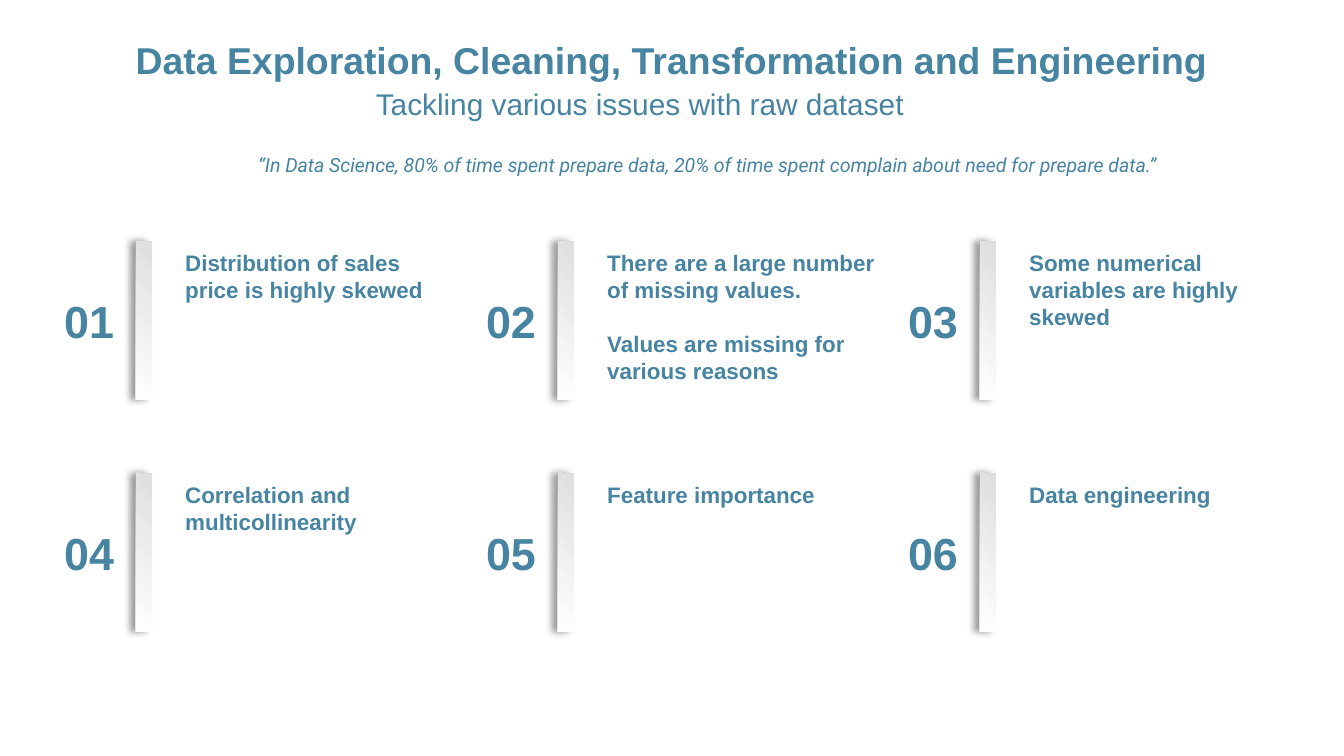
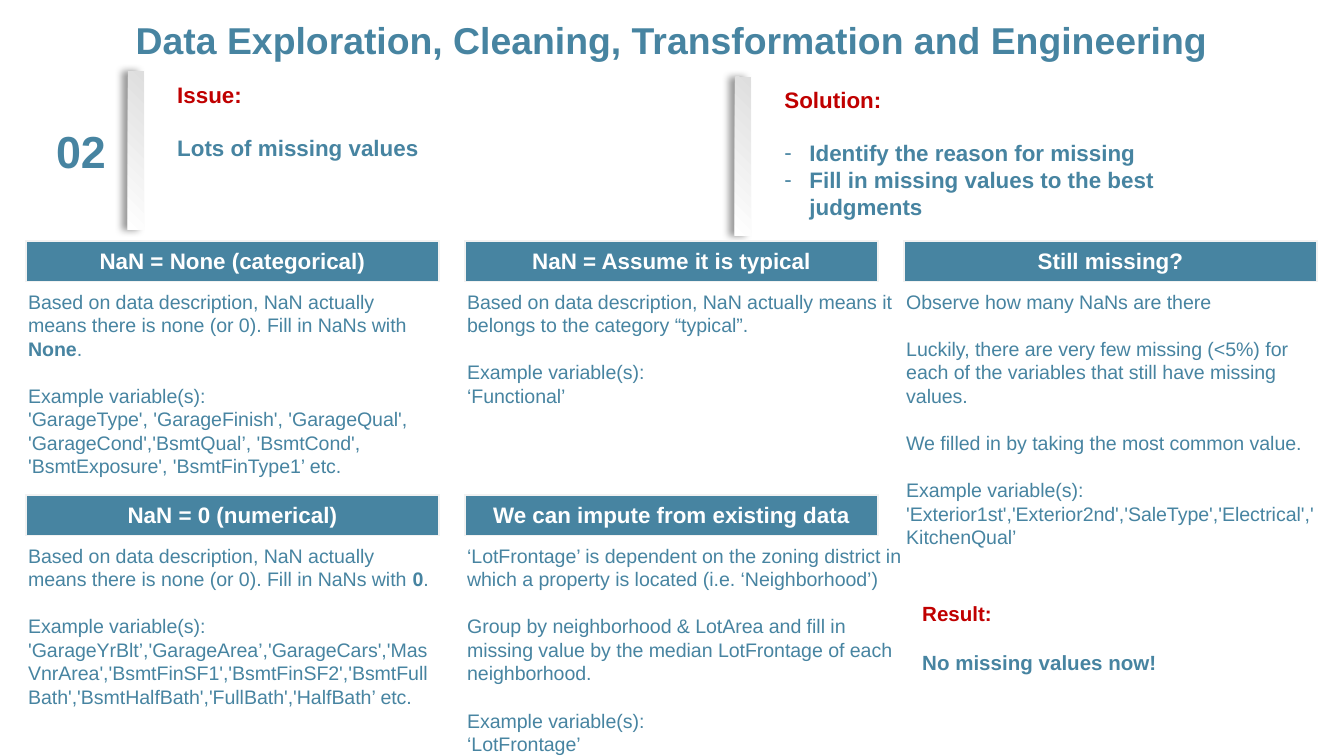
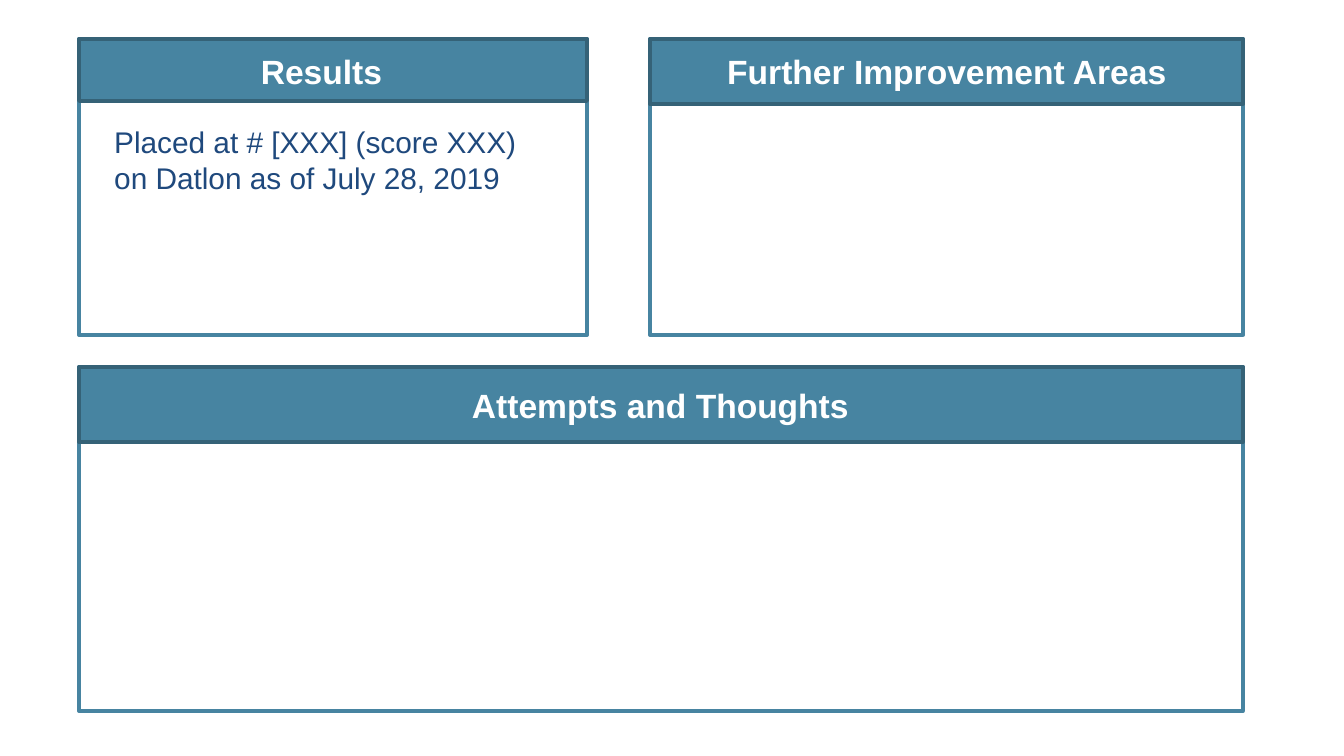
"""Build three slides on cleaning a housing data set."""
import dataclasses
import itertools

import lxml.etree
import pptx
import pptx.dml.color
import pptx.enum.shapes
import pptx.enum.text
import pptx.oxml.ns
import pptx.shapes.autoshape
import pptx.slide
import pptx.util

SCALE = 914400 / 134.4
WIDE, HIGH = 1344, 756
BLUE, DARK, RED, NAVY = "4784A1", "356277", "C00000", "1F497D"
WHITE, GREY, PALE = "FFFFFF", "DEDEDE", "F2F2F2"
HEAD = "Data Exploration, Cleaning, Transformation and Engineering"
LEAD = 1.2
LEFT, MID = pptx.enum.text.PP_ALIGN.LEFT, pptx.enum.text.PP_ALIGN.CENTER
TOP, CORE = pptx.enum.text.MSO_ANCHOR.TOP, pptx.enum.text.MSO_ANCHOR.MIDDLE


@dataclasses.dataclass(frozen=True)
class Box:
    """A place on the slide in pixels."""
    left: int
    top: int
    width: int
    height: int

    def emu(self) -> list[pptx.util.Emu]:
        """Return the four lengths in EMU."""
        return [pix(n) for n in dataclasses.astuple(self)]


@dataclasses.dataclass(frozen=True)
class Style:
    """The look of a block of text."""
    size: float
    color: str = BLUE
    bold: bool = False
    slant: bool = False
    font: str = "Arial"
    align: pptx.enum.text.PP_ALIGN = LEFT
    anchor: pptx.enum.text.MSO_ANCHOR = TOP
    wrap: bool = True


@dataclasses.dataclass(frozen=True)
class Line:
    """A paragraph; words between asterisks turn bold."""
    text: str
    gap: bool = False
    color: str = ""
    mark: str = ""


@dataclasses.dataclass(frozen=True)
class Card:
    """A headed note in the grid of slide two."""
    col: int
    row: int
    width: int
    head: str
    lines: list[Line]


@dataclasses.dataclass(frozen=True)
class Panel:
    """A framed area with a heading band."""
    box: Box
    band: int
    head: str
    label: Box


TITLE = Style(20, bold=True, align=MID, anchor=CORE)
SUB = Style(16, align=MID, anchor=CORE)
QUOTE = Style(10.5, slant=True, font="Roboto")
COUNT = Style(24, bold=True, align=MID, anchor=CORE)
POINT = Style(12, bold=True)
NOTE = Style(10.5)
CLOSE = Style(11, bold=True)
CELL = Style(12, WHITE, bold=True, align=MID, anchor=CORE)
LABEL = Style(18, WHITE, bold=True, align=MID, wrap=False)
SCORE = Style(16, NAVY)

POINTS = [
    [Line("Distribution of sales price is highly skewed")],
    [Line("There are a large number of missing values."),
     Line("Values are missing for various reasons", gap=True)],
    [Line("Some numerical variables are highly skewed")],
    [Line("Correlation and multicollinearity")],
    [Line("Feature importance")],
    [Line("Data engineering")],
]
ISSUE = [Line("Issue:", color=RED), Line("Lots of missing values", gap=True)]
CURE = [
    Line("Solution:", color=RED),
    Line("Identify the reason for missing", gap=True, mark="-"),
    Line("Fill in missing values to the best judgments", mark="-"),
]
RESULT = [Line("Result:", color=RED), Line("No missing values now!", gap=True)]
SAMPLE = Line("Example variable(s):", gap=True)
NONE = "Based on data description, NaN actually means there is none (or 0). Fill in NaNs with "
CARDS = [
    Card(0, 0, 423, "NaN = None (categorical)", [
        Line(NONE + "*None*."), SAMPLE,
        Line("'GarageType', 'GarageFinish', 'GarageQual', 'GarageCond','BsmtQual’, "
             "'BsmtCond', 'BsmtExposure', 'BsmtFinType1’ etc.")]),
    Card(1, 0, 456, "NaN = Assume it is typical", [
        Line("Based on data description, NaN actually means it belongs to the "
             "category “typical”."), SAMPLE, Line("‘Functional’")]),
    Card(0, 1, 434, "NaN = 0 (numerical)", [
        Line(NONE + "*0*."), SAMPLE,
        Line("'GarageYrBlt’,'GarageArea’,'GarageCars','MasVnrArea','BsmtFinSF1',"
             "'BsmtFinSF2','BsmtFullBath','BsmtHalfBath','FullBath','HalfBath’ etc.")]),
    Card(1, 1, 465, "We can impute from existing data", [
        Line("‘LotFrontage’ is dependent on the zoning district in which a property "
             "is located (i.e. ‘Neighborhood’)"),
        Line("Group by neighborhood & LotArea and fill in missing value by the median "
             "LotFrontage of each neighborhood.", gap=True),
        SAMPLE, Line("‘LotFrontage’")]),
    Card(2, 0, 446, "Still missing?", [
        Line("Observe how many NaNs are there"),
        Line("Luckily, there are very few missing (<5%) for each of the variables "
             "that still have missing values.", gap=True),
        Line("We filled in by taking the most common value.", gap=True), SAMPLE,
        Line("'Exterior1st','Exterior2nd','SaleType','Electrical','KitchenQual’")]),
]
PANELS = [
    Panel(Box(79, 39, 508, 296), 62, "Results", Box(247, 44, 149, 54)),
    Panel(Box(79, 367, 1164, 344), 75, "Attempts and Thoughts", Box(457, 378, 407, 54)),
    Panel(Box(650, 39, 593, 296), 65, "Further Improvement Areas", Box(712, 44, 470, 54)),
]


def pix(count: float) -> pptx.util.Emu:
    """Turn pixels into EMU."""
    return pptx.util.Emu(round(count * SCALE))


def paint(code: str) -> pptx.dml.color.RGBColor:
    """Turn a hex string into a colour."""
    return pptx.dml.color.RGBColor.from_string(code)


def node(parent: lxml.etree._Element, tag: str, **attrs: str) -> lxml.etree._Element:
    """Add a drawing element below a parent."""
    return lxml.etree.SubElement(parent, pptx.oxml.ns.qn(tag), **attrs)


def write(frame: pptx.text.text.TextFrame, lines: list[Line], style: Style) -> None:
    """Fill a text frame with styled paragraphs."""
    frame.text = "\n".join(line.text.split("*")[0] for line in lines)
    for par, line in zip(frame.paragraphs, lines):
        for part in line.text.split("*")[1:]:
            par.add_run().text = part
        par.alignment = style.align
        par.line_spacing = pptx.util.Pt(style.size * LEAD)
        par.space_before = pptx.util.Pt(style.size * LEAD if line.gap else 0)
        props = par._p.get_or_add_pPr()
        inset = pix(25) if line.mark else 0
        props.set("marL", str(inset))
        props.set("indent", str(-inset))
        if line.mark:
            node(props, "a:buChar", char=line.mark)
        else:
            node(props, "a:buNone")
        for place, run in enumerate(par.runs):
            run.font.name = style.font
            run.font.size = pptx.util.Pt(style.size)
            run.font.bold = style.bold or place % 2 == 1
            run.font.italic = style.slant
            run.font.color.rgb = paint(line.color or style.color)


def put(shape: pptx.shapes.autoshape.Shape, box: Box, lines: list[Line], style: Style) -> None:
    """Place a text shape and write into it."""
    shape.left, shape.top, shape.width, shape.height = box.emu()
    frame = shape.text_frame
    frame.auto_size = pptx.enum.text.MSO_AUTO_SIZE.NONE
    frame.word_wrap = style.wrap
    frame.vertical_anchor = style.anchor
    write(frame, lines, style)


def text(slide: pptx.slide.Slide, box: Box, lines: list[Line], style: Style) -> None:
    """Add a text box."""
    put(slide.shapes.add_textbox(*box.emu()), box, lines, style)


def block(slide: pptx.slide.Slide, box: Box) -> pptx.shapes.autoshape.Shape:
    """Add a plain rectangle without a shadow."""
    shape = slide.shapes.add_shape(pptx.enum.shapes.MSO_SHAPE.RECTANGLE, *box.emu())
    shape.shadow.inherit = False
    return shape


def bar(slide: pptx.slide.Slide, left: int, top: int) -> None:
    """Add a shaded upright bar with a soft shadow."""
    shape = block(slide, Box(left, top, 16, 159))
    shape.fill.gradient()
    shape.fill.gradient_angle = 225
    for stop, code in zip(shape.fill.gradient_stops, (GREY, WHITE)):
        stop.color.rgb = paint(code)
    shape.line.fill.background()
    effect = shape._element.spPr.find(pptx.oxml.ns.qn("a:effectLst"))
    shade = node(effect, "a:outerShdw", blurRad=str(pptx.util.Pt(4)),
                 dist=str(pptx.util.Pt(3)), dir="10800000", algn="r", rotWithShape="0")
    node(node(shade, "a:srgbClr", val="000000"), "a:alpha", val="40000")


def count(slide: pptx.slide.Slide, left: int, top: int, value: int) -> None:
    """Add the number that stands before a bar."""
    text(slide, Box(left - 92, top + 46, 90, 67), [Line(f"{value:02d}")], COUNT)


def strip(slide: pptx.slide.Slide, box: Box, head: str) -> None:
    """Add a heading as a table of one cell."""
    table = slide.shapes.add_table(1, 1, *box.emu()).table
    cell = table.cell(0, 0)
    props = cell._tc.get_or_add_tcPr()
    for tag in ("a:lnL", "a:lnR", "a:lnT", "a:lnB"):
        edge = node(props, tag, w=str(pptx.util.Pt(1)))
        node(node(edge, "a:solidFill"), "a:srgbClr", val=PALE)
    cell.fill.solid()
    cell.fill.fore_color.rgb = paint(BLUE)
    cell.vertical_anchor = CORE
    write(cell.text_frame, [Line(head)], CELL)


def frame(slide: pptx.slide.Slide, panel: Panel) -> None:
    """Add a panel outline and its filled band."""
    box = panel.box
    outer = block(slide, box)
    outer.fill.background()
    band = block(slide, dataclasses.replace(box, height=panel.band))
    band.fill.solid()
    band.fill.fore_color.rgb = paint(BLUE)
    for shape, code in ((outer, BLUE), (band, DARK)):
        shape.line.color.rgb = paint(code)
        shape.line.width = pptx.util.Pt(2)


def topics(slide: pptx.slide.Slide) -> None:
    """Draw the six numbered topics."""
    put(slide.shapes.title, Box(0, 17, WIDE, 85), [Line(HEAD)], TITLE)
    put(slide.placeholders[1], Box(-32, 83, WIDE, 42),
        [Line("Tackling various issues with raw dataset")], SUB)
    text(slide, Box(245, 146, 993, 39),
         [Line("“In Data Science, 80% of time spent prepare data, 20% of time spent "
               "complain about need for prepare data.”")], QUOTE)
    cells = itertools.product(range(2), range(3))
    for value, ((row, col), lines) in enumerate(zip(cells, POINTS), 1):
        left, top = 136 + 422 * col, 241 + 232 * row
        count(slide, left, top, value)
        bar(slide, left, top)
        text(slide, Box(left + 36, top + 2, 296, 149), lines, POINT)


def missing(slide: pptx.slide.Slide) -> None:
    """Draw the issue, its solution and the five cases."""
    put(slide.shapes.title, Box(0, -3, WIDE, 85), [Line(HEAD)], TITLE)
    put(slide.placeholders[1], Box(771, 79, 398, 176), CURE, POINT)
    count(slide, 128, 71, 2)
    bar(slide, 128, 71)
    text(slide, Box(164, 74, 508, 95), ISSUE, POINT)
    bar(slide, 735, 77)
    for card in CARDS:
        left, top = 26 + 439 * card.col, 241 + 254 * card.row
        strip(slide, Box(left, top, 413, 40), card.head)
        text(slide, Box(left - 11, top + 42, card.width, 200), card.lines, NOTE)
    text(slide, Box(909, 594, 465, 89), RESULT, CLOSE)


def outcome(slide: pptx.slide.Slide) -> None:
    """Draw the three closing panels."""
    for panel in PANELS:
        frame(slide, panel)
    first, *others = PANELS
    title = slide.shapes.title
    put(title, first.label, [Line(first.head)], LABEL)
    slide.shapes._spTree.append(title._element)
    for panel in others:
        text(slide, panel.label, [Line(panel.head)], LABEL)
    text(slide, Box(101, 117, 445, 86),
         [Line("Placed at # [XXX] (score XXX) on Datlon as of July 28, 2019")], SCORE)


def main() -> None:
    """Build and save the deck."""
    deck = pptx.Presentation()
    deck.slide_width, deck.slide_height = pix(WIDE), pix(HIGH)
    for draw, layout in ((topics, 1), (missing, 1), (outcome, 5)):
        draw(deck.slides.add_slide(deck.slide_layouts[layout]))
    deck.save("out.pptx")


main()
